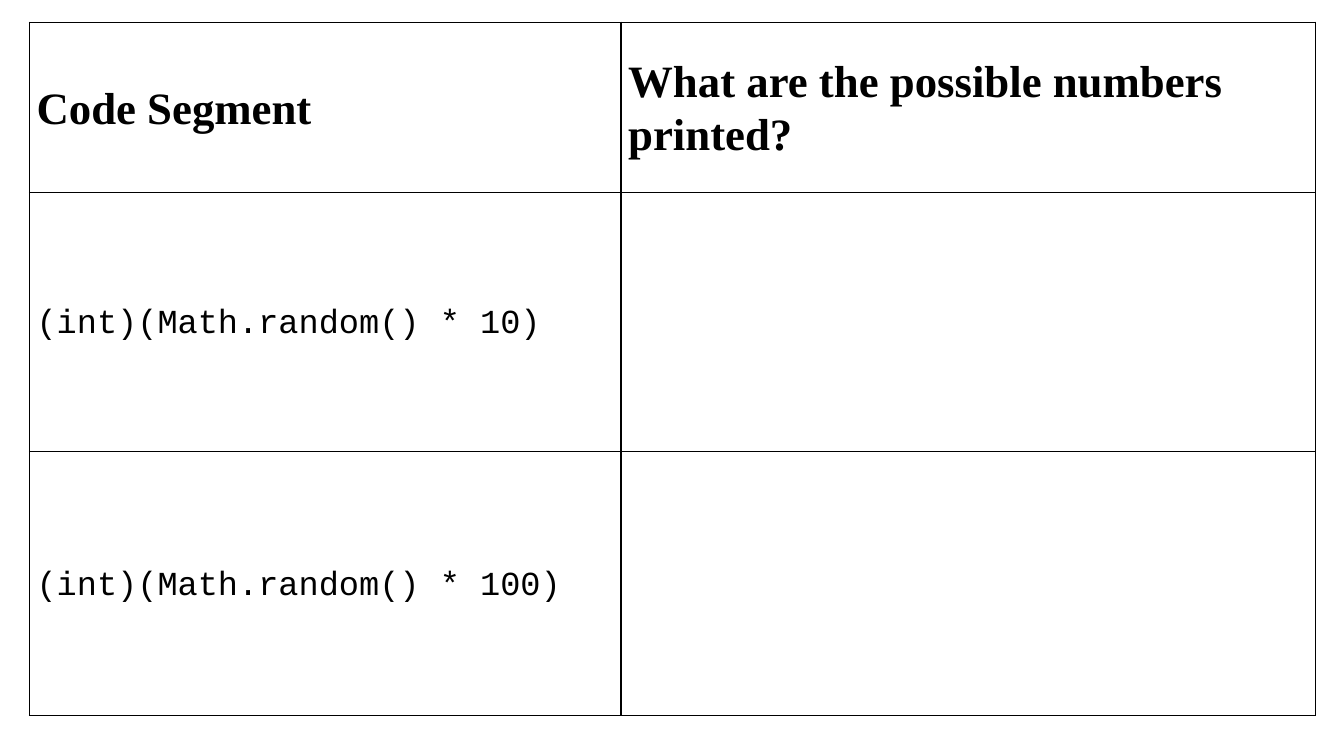
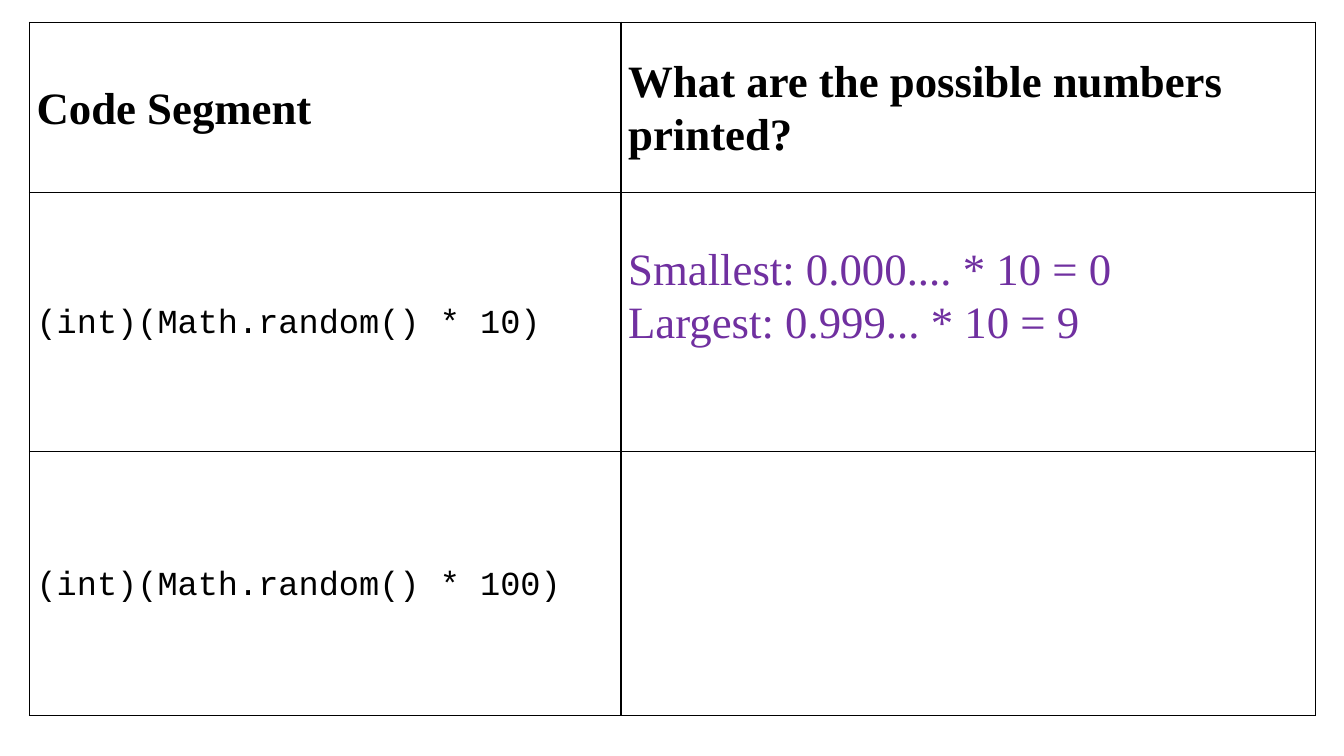
from lxml import etree
from pptx import Presentation
from pptx.dml.color import RGBColor
from pptx.enum.text import MSO_ANCHOR
from pptx.oxml import parse_xml
from pptx.util import Cm, Pt

MIDDLE = MSO_ANCHOR.MIDDLE
BLACK, PURPLE = "000000", "7030A0"
DRAWING = "http://schemas.openxmlformats.org/drawingml/2006/main"

# Content: one list of answer lines per code segment on each slide
HEADINGS = ["Code Segment", "What are the possible numbers printed?"]
SEGMENTS = ["(int)(Math.random() * 10)", "(int)(Math.random() * 100)"]
SLIDE_ANSWERS = [
    [[], []],
    [["Smallest: 0.000.... * 10 = 0", "Largest: 0.999... * 10 = 9"], []],
]

# Shared layout, in centimetres
LEFT, TOP = 0.74, 0.56
COLUMN_WIDTHS = [14.91, 17.5]
ROW_HEIGHTS = [4.29, 6.53, 6.65]
SIDE_MARGIN = 0.18
ANSWER_BOTTOM = 1.35  # lifts the answers above the middle of the row

# Text styles: font attributes, colour and line spacing
HEADING = ({"name": "Times New Roman", "size": Pt(32), "bold": True}, BLACK, 1.07)
CODE = ({"name": "Courier New", "size": Pt(24), "bold": False}, BLACK, 1.15)
ANSWER = ({"name": "Times New Roman", "size": Pt(32), "bold": False}, PURPLE, 1.07)


def colour(value):
    return RGBColor.from_string(value)


def add_borders(cell):
    properties = cell._tc.get_or_add_tcPr()
    for index, side in enumerate(["lnL", "lnR", "lnT", "lnB"]):
        border = parse_xml(f'<a:{side} xmlns:a="{DRAWING}" w="{Pt(1)}"/>')
        fill = etree.SubElement(border, f"{{{DRAWING}}}solidFill")
        etree.SubElement(fill, f"{{{DRAWING}}}srgbClr", val=BLACK)
        properties.insert(index, border)


def fill_cell(cell, lines, style, bottom=0):
    cell.fill.background()
    add_borders(cell)
    cell.vertical_anchor = MIDDLE
    cell.margin_left = cell.margin_right = Cm(SIDE_MARGIN)
    cell.margin_top, cell.margin_bottom = 0, Cm(bottom)
    font_format, text_colour, spacing = style
    for index, line in enumerate(lines):
        frame = cell.text_frame
        para = frame.add_paragraph() if index else frame.paragraphs[0]
        para.line_spacing = spacing
        span = para.add_run()
        span.text = line
        for name, value in font_format.items():
            setattr(span.font, name, value)
        span.font.color.rgb = colour(text_colour)


def add_question_table(page, answers):
    frame = page.shapes.add_table(
        len(ROW_HEIGHTS), len(COLUMN_WIDTHS), Cm(LEFT), Cm(TOP),
        Cm(sum(COLUMN_WIDTHS)), Cm(sum(ROW_HEIGHTS)))
    table = frame.table
    table.first_row = table.horz_banding = False
    for column, width in zip(table.columns, COLUMN_WIDTHS):
        column.width = Cm(width)
    for row, height in zip(table.rows, ROW_HEIGHTS):
        row.height = Cm(height)

    # Heading row, then one row per code segment
    for index, heading in enumerate(HEADINGS):
        fill_cell(table.cell(0, index), [heading], HEADING)
    for index, (segment, lines) in enumerate(zip(SEGMENTS, answers), start=1):
        fill_cell(table.cell(index, 0), [segment], CODE)
        fill_cell(table.cell(index, 1), lines, ANSWER, ANSWER_BOTTOM)


def main():
    deck = Presentation()
    deck.slide_width, deck.slide_height = Cm(33.87), Cm(19.05)
    for answers in SLIDE_ANSWERS:
        page = deck.slides.add_slide(deck.slide_layouts[6])
        add_question_table(page, answers)
    deck.save("out.pptx")


if __name__ == "__main__":
    main()
